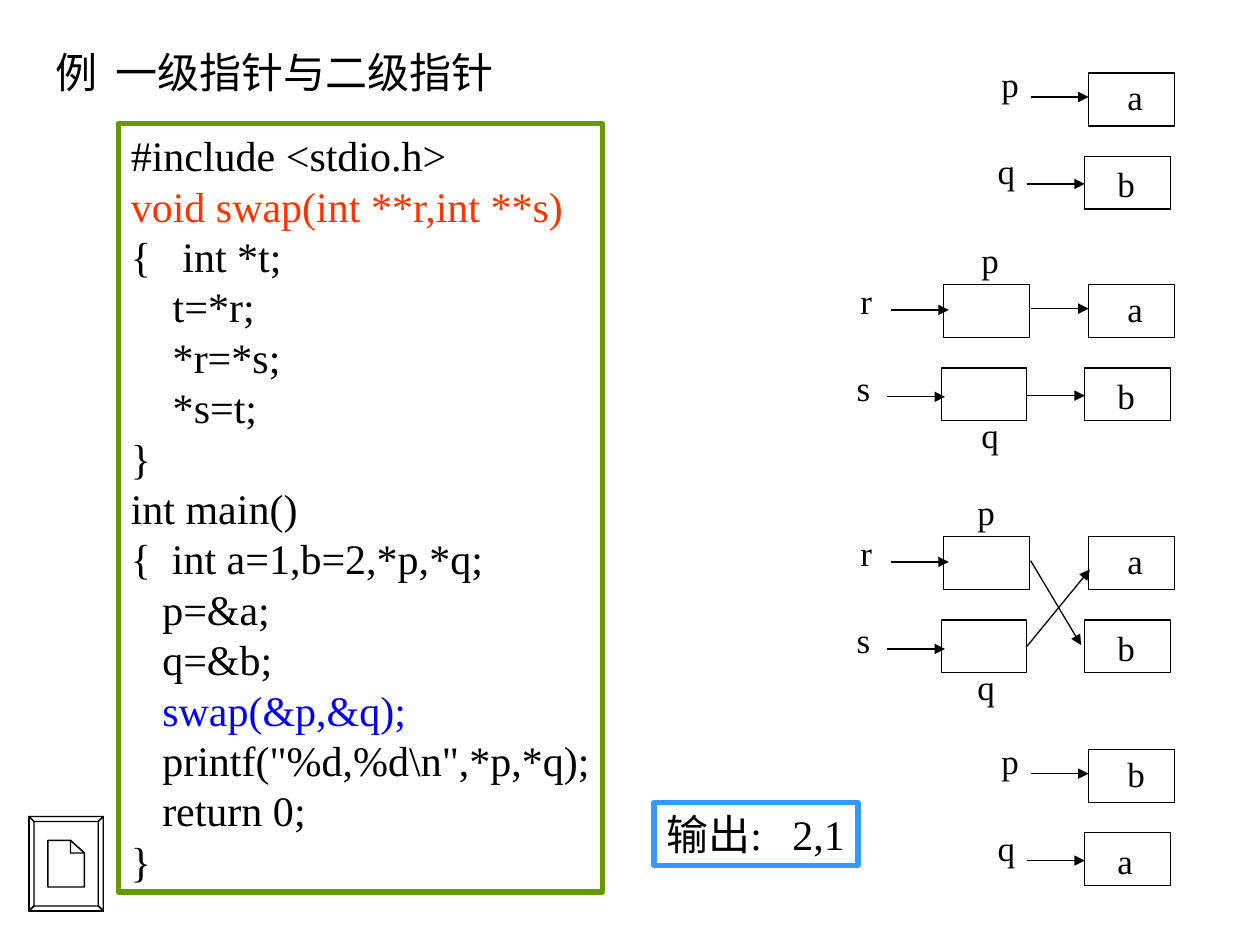
from lxml import etree
from pptx import Presentation
from pptx.dml.color import RGBColor
from pptx.enum import shapes, text
from pptx.oxml.ns import qn
from pptx.util import Inches, Pt

FONT = "Times New Roman"
BLACK = "000000"
BOX_WIDTH, BOX_HEIGHT = 0.68, 0.42
ROW_GAP = 0.66


def write_lines(shape, lines, size, tab=None):
    """Fill a shape with (text, colour) lines, with an optional tab stop in inches."""
    frame = shape.text_frame
    frame.word_wrap = False
    for number, (line, colour) in enumerate(lines):
        paragraph = frame.paragraphs[0] if number == 0 else frame.add_paragraph()
        paragraph.text = line
        paragraph.alignment = text.PP_ALIGN.LEFT
        if tab:
            stops = etree.SubElement(paragraph._p.get_or_add_pPr(), qn("a:tabLst"))
            etree.SubElement(stops, qn("a:tab"), pos=str(Inches(tab)), algn="l")
        paragraph.font.name = FONT
        paragraph.font.size = Pt(size)
        paragraph.font.color.rgb = RGBColor.from_string(colour)


def add_box(left, top, width, height, colour=BLACK, weight=0.75):
    box = slide.shapes.add_shape(shapes.MSO_SHAPE.RECTANGLE, Inches(left), Inches(top),
                                 Inches(width), Inches(height))
    box.shadow.inherit = False
    box.fill.background()
    box.line.color.rgb = RGBColor.from_string(colour)
    box.line.width = Pt(weight)
    return box


presentation = Presentation()
presentation.slide_width, presentation.slide_height = Inches(10), Inches(7.5)
slide = presentation.slides.add_slide(presentation.slide_layouts[5])

title = slide.shapes.title
title.left, title.top = Inches(0.34), Inches(0.32)
title.width, title.height = Inches(4), Inches(0.5)
title.text_frame.vertical_anchor = text.MSO_ANCHOR.TOP
write_lines(title, [("例\t一级指针与二级指针", BLACK)], 24, tab=0.48)

# Document button, in hundredths of an inch: bevelled frame around a folded page
left, top, right, bottom = 23, 648, 82, 723
bevel = 4
outer = [(left, top), (right, top), (right, bottom), (left, bottom)]
inner = [(left + bevel, top + bevel), (right - bevel, top + bevel),
         (right - bevel, bottom - bevel), (left + bevel, bottom - bevel)]
page = [(38, 667), (56, 667), (67, 677), (67, 704), (38, 704)]
fold = [(56, 667), (67, 677), (56, 677)]
# Each bevel side is the quadrilateral between an outer and an inner edge
sides = [[outer[i - 1], outer[i], inner[i], inner[i - 1]] for i in range(4)]
builder = slide.shapes.build_freeform(*outer[0], scale=Inches(0.01))
builder.add_line_segments(outer[1:], close=True)
for outline in sides + [page, fold]:
    builder.move_to(*outline[0])
    builder.add_line_segments(outline[1:], close=True)
button = builder.convert_to_shape()
button.shadow.inherit = False
button.fill.solid()
button.fill.fore_color.rgb = RGBColor.from_string("FFFFFF")
button.line.color.rgb = RGBColor.from_string(BLACK)
button.line.width = Pt(0.75)

CODE = r"""#include <stdio.h>
void swap(int **r,int **s)
{   int *t;
    t=*r;
    *r=*s;
    *s=t;
}
int main()
{  int a=1,b=2,*p,*q;
   p=&a;
   q=&b;
   swap(&p,&q);
   printf("%d,%d\n",*p,*q);
   return 0;
}"""
highlights = {"void swap(int **r,int **s)": "FF3300", "swap(&p,&q);": "0000FF"}
code_box = add_box(0.94, 0.98, 3.84, 6.1, "669900", 3)
code_box.fill.solid()
code_box.fill.fore_color.rgb = RGBColor.from_string("FFFFFF")
code_box.text_frame.vertical_anchor = text.MSO_ANCHOR.MIDDLE
write_lines(code_box, [(line, highlights.get(line.strip(), BLACK))
                       for line in CODE.splitlines()], 24)

output_box = add_box(5.19, 6.37, 1.62, 0.5, "3399FF", 3)
output_box.text_frame.vertical_anchor = text.MSO_ANCHOR.TOP
write_lines(output_box, [("输出:\t2,1", BLACK)], 24, tab=1)

# Pointer diagrams: top, values, left of the p and q labels (double pointers only), crossed
diagrams = [
    (0.58, "ab", None, False),
    (2.26, "ab", 7.69, False),
    (4.26, "ab", 7.66, True),
    (5.95, "ba", None, False),
]
labels, arrows = [], []
for top, values, name_left, crossed in diagrams:
    for row, value in enumerate(values):
        row_top = top + row * ROW_GAP
        shift = -0.03 * row
        add_box(8.64 + shift, row_top, BOX_WIDTH, BOX_HEIGHT)
        labels.append((value, 8.85 - 0.08 * row, row_top - 0.03 * (1 - row)))
        arrow_top = row_top + 0.19 + 0.03 * row
        if not crossed:
            arrows.append((8.18 + shift, arrow_top, 8.64 + shift, arrow_top))
        if name_left is None:
            labels.append(("pq"[row], 7.85 + shift, row_top - 0.13 + 0.03 * row))
        else:
            add_box(7.49 - 0.02 * row, row_top, BOX_WIDTH, BOX_HEIGHT)
            labels.append(("rs"[row], 6.73 + shift, row_top - 0.09 + 0.03 * row))
            labels.append(("pq"[row], name_left, top - 0.42 + 1.39 * row))
            arrows.append((7.07 + shift, arrow_top + 0.01, 7.53 + shift, arrow_top + 0.01))
    if crossed:
        arrows += [(8.18, top + 0.19, 8.58, top + 0.86),
                   (8.15, top + 0.87, 8.65, top + 0.26)]

for label, left, top in labels:
    label_box = slide.shapes.add_textbox(Inches(left), Inches(top), Inches(0.34), Inches(0.44))
    write_lines(label_box, [(label, BLACK)], 20)

for ends in arrows:
    arrow = slide.shapes.add_connector(shapes.MSO_CONNECTOR.STRAIGHT,
                                       *[Inches(end) for end in ends])
    arrow.line.color.rgb = RGBColor.from_string(BLACK)
    arrow.line.width = Pt(0.75)
    etree.SubElement(arrow.line._get_or_add_ln(), qn("a:tailEnd"), type="triangle")
    etree.SubElement(arrow._element.spPr, qn("a:effectLst"))

presentation.save("out.pptx")
